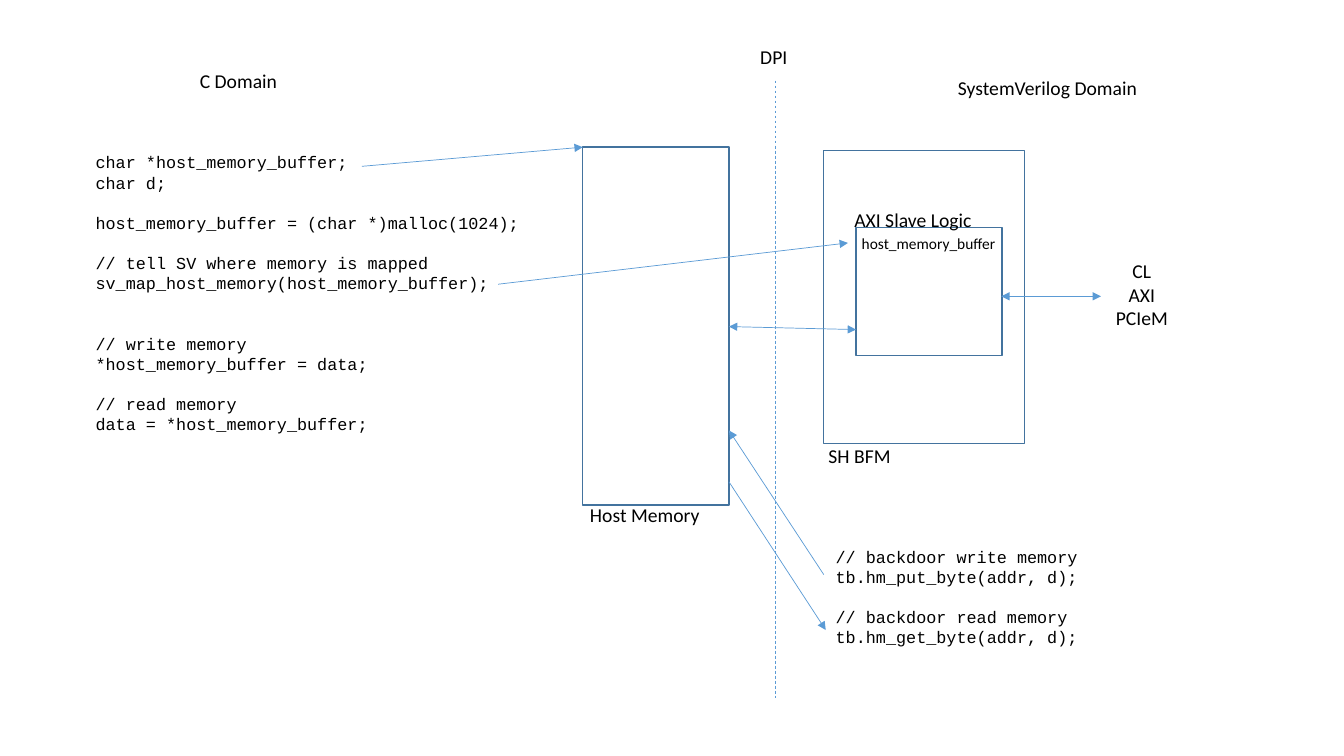
import pptx
import pptx.util
import pptx.dml.color
import pptx.enum.dml
import pptx.enum.shapes
import pptx.enum.text
import lxml.etree
from pptx.util import Inches

COLORS = {"text": "000000", "outline": "43739E", "arrow": "5B9BD5"}
LABEL = {"name": "Calibri", "size": pptx.util.Pt(14)}
SMALL_LABEL = {"name": "Calibri", "size": pptx.util.Pt(11)}
CODE = {"name": "Courier New", "size": pptx.util.Pt(12)}
CODE_ROW = 14.4
CENTER = pptx.enum.text.PP_ALIGN.CENTER
LEFT = pptx.enum.text.PP_ALIGN.LEFT


def rgb(name):
    """Return the named colour."""
    return pptx.dml.color.RGBColor.from_string(COLORS[name])


def add_text(page, place, rows, font, align):
    """Add a text box from (blank rows before, text) pairs."""
    box = page.shapes.add_textbox(*map(Inches, place))
    frame = box.text_frame
    frame.word_wrap = True
    for index, (gap, text) in enumerate(rows):
        para = frame.paragraphs[0] if index == 0 else frame.add_paragraph()
        para.alignment = align
        if font is CODE:
            para.line_spacing = pptx.util.Pt(CODE_ROW)
            para.space_before = pptx.util.Pt(gap * CODE_ROW)
        span = para.add_run()
        span.text = text
        for key, value in font.items():
            setattr(span.font, key, value)
        span.font.color.rgb = rgb("text")


deck = pptx.Presentation()
deck.slide_width, deck.slide_height = Inches(13.33), Inches(7.5)
page = deck.slides.add_slide(deck.slide_layouts[6])

# Host memory, AXI slave logic and SH BFM outlines
for place in [(5.78, 1.46, 1.45, 3.55), (8.49, 2.26, 1.45, 1.27), (8.17, 1.49, 1.99, 2.91)]:
    block = page.shapes.add_shape(pptx.enum.shapes.MSO_SHAPE.RECTANGLE, *map(Inches, place))
    block.shadow.inherit = False
    block.fill.background()
    block.line.color.rgb = rgb("outline")
    block.line.width = pptx.util.Pt(1)

# Start, end, then the ends that carry arrowheads
lines = [
    ((3.59, 1.65), (5.78, 1.46), ["tailEnd"]),
    ((4.94, 2.82), (8.41, 2.41), ["tailEnd"]),
    ((9.93, 2.94), (10.92, 2.94), ["headEnd", "tailEnd"]),
    ((8.49, 3.27), (7.23, 3.24), ["headEnd", "tailEnd"]),
    ((8.17, 5.7), (7.23, 4.27), ["tailEnd"]),
    ((7.23, 4.78), (8.19, 6.25), ["tailEnd"]),
    ((7.69, 0.8), (7.69, 6.92), []),
]
for start, end, arrowheads in lines:
    link = page.shapes.add_connector(
        pptx.enum.shapes.MSO_CONNECTOR.STRAIGHT, *map(Inches, start + end))
    link.line.color.rgb = rgb("arrow")
    link.line.width = pptx.util.Pt(0.5)
    if not arrowheads:
        link.line.dash_style = pptx.enum.dml.MSO_LINE.DASH
    outline = link.line._get_or_add_ln()
    for arrowhead in arrowheads:
        lxml.etree.SubElement(outline, pptx.oxml.ns.qn("a:" + arrowhead), type="triangle")
    lxml.etree.SubElement(link._element.spPr, pptx.oxml.ns.qn("a:effectLst"))

labels = [
    ((1.64, 0.63, 1.45, 0.34), ["C Domain"], LABEL),
    ((7.32, 0.4, 0.71, 0.34), ["DPI"], LABEL),
    ((9.21, 0.7, 2.36, 0.34), ["SystemVerilog Domain"], LABEL),
    ((5.67, 4.94, 1.45, 0.34), ["Host Memory"], LABEL),
    ((8.33, 2.01, 1.45, 0.34), ["AXI Slave Logic"], LABEL),
    ((7.8, 4.35, 1.45, 0.34), ["SH BFM"], LABEL),
    ((10.84, 2.52, 0.97, 0.81), ["CL", "AXI", "PCIeM"], LABEL),
    ((8.41, 2.27, 1.6, 0.29), ["host_memory_buffer"], SMALL_LABEL),
]
for place, texts, font in labels:
    add_text(page, place, [(0, text) for text in texts], font, CENTER)

c_code = [
    (0, "char *host_memory_buffer;"),
    (0, "char d;"),
    (1, "host_memory_buffer = (char *)malloc(1024);"),
    (1, "// tell SV where memory is mapped"),
    (0, "sv_map_host_memory(host_memory_buffer);"),
    (2, "// write memory"),
    (0, "*host_memory_buffer = data;"),
    (1, "// read memory"),
    (0, "data = *host_memory_buffer;"),
]
backdoor_code = [
    (0, "// backdoor write memory"),
    (0, "tb.hm_put_byte(addr, d);"),
    (1, "// backdoor read memory"),
    (0, "tb.hm_get_byte(addr, d);"),
]
add_text(page, (0.85, 1.46, 4.47, 2.93), c_code, CODE, LEFT)
add_text(page, (8.19, 5.37, 2.64, 1.11), backdoor_code, CODE, LEFT)

deck.save("out.pptx")
